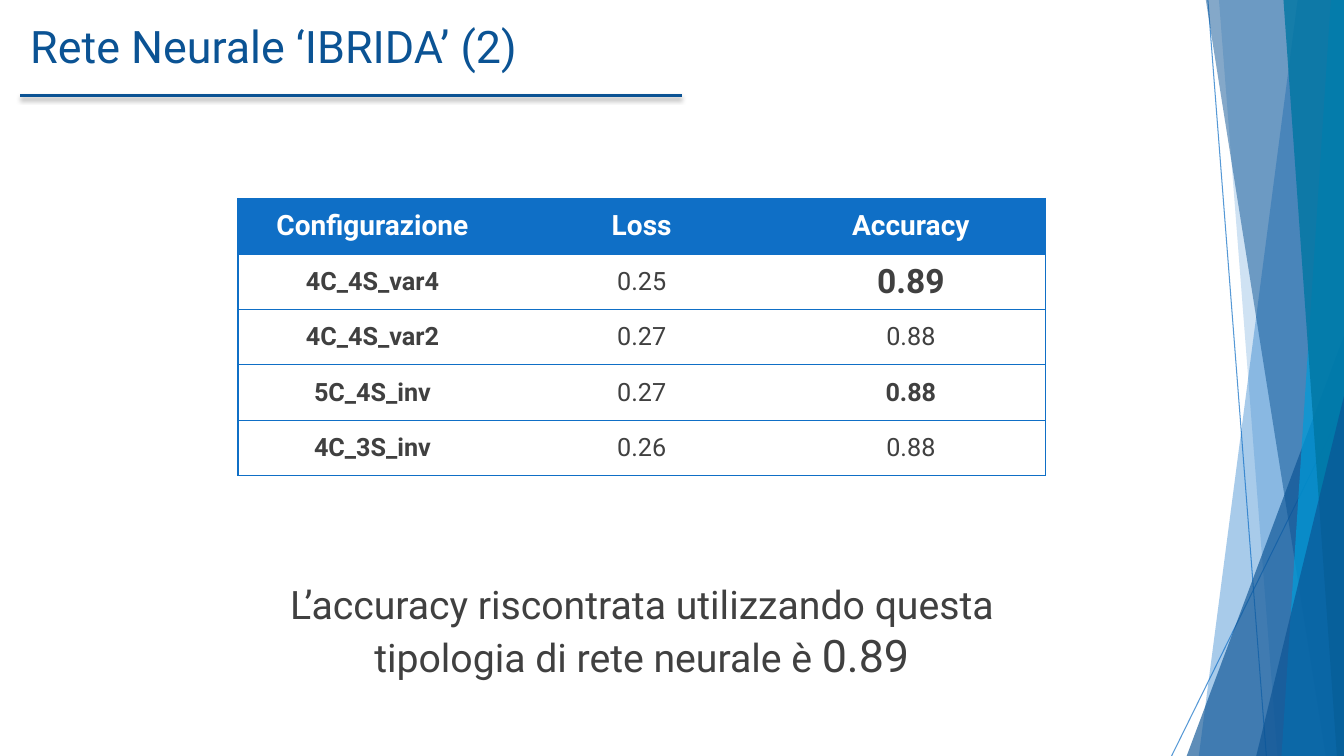
from lxml.etree import SubElement as Sub
from pptx import Presentation
from pptx.dml.color import RGBColor
from pptx.enum.shapes import MSO_CONNECTOR as Link, MSO_SHAPE as Shape
from pptx.enum.text import MSO_ANCHOR as Anchor, MSO_AUTO_SIZE as Auto, PP_ALIGN as Align
from pptx.oxml.ns import qn
from pptx.util import Inches, Pt

W, H = Inches(13.33), Inches(7.5)
BLUE, NAVY, GREY, WHITE = "0F6FC6", "0B5394", "404040", "FFFFFF"


def paint(fill, color, alpha=100):
    fill.solid()
    fill.fore_color.rgb = RGBColor.from_string(color)
    if alpha < 100:
        tone = fill._xPr.find(".//" + qn("a:srgbClr"))
        Sub(tone, qn("a:alpha"), val=str(alpha * 1000))


def style(run, size, color, bold=False):
    run.font.name, run.font.size, run.font.bold = "Roboto", Pt(size), bold
    paint(run.font.fill, color)


deck = Presentation()
deck.slide_width, deck.slide_height = W, H
slide = deck.slides.add_slide(deck.slide_layouts[5])
shapes = slide.shapes

# Lines: ends, colour, opacity, width
for ends, color, alpha, width in [
    ((11.98, 0, 12.56, 7.5), BLUE, 70, 0.75),
    ((13.33, 4.03, 11.62, 7.5), BLUE, 70, 0.75),
    ((0.2, 0.95, 6.76, 0.95), NAVY, 100, 2),
]:
    line = shapes.add_connector(Link.STRAIGHT, *map(Inches, ends))
    line.line.width = Pt(width)
    paint(line.line.fill, color, alpha)
    glow = Sub(line._element.spPr, qn("a:effectLst"))

# Soft shadow under the title rule, the last line drawn
shade = Sub(glow, qn("a:outerShdw"), blurRad=str(Pt(3)), dist=str(Pt(2)),
            dir="5400000", rotWithShape="0")
tone = Sub(shade, qn("a:srgbClr"), val="000000")
Sub(tone, qn("a:alpha"), val="35000")

# Bands against the right edge: top x, foot x, top y, colour, opacity
for top, foot, start, color, alpha in [
    (12.87, 11.89, 0, BLUE, 36),
    (12.09, 12.67, 0, BLUE, 20),
    (13.33, 11.77, 3.33, NAVY, 66),
    (11.96, 13.15, 0, NAVY, 50),
    (13.2, 12.71, 0, "009DD9", 70),
    (12.73, 13.26, 0, "0076A3", 80),
    (13.33, 12.46, 3.93, NAVY, 66),
]:
    x, y = Inches(foot), Inches(start)
    if start:
        band = shapes.add_shape(Shape.ISOSCELES_TRIANGLE, x, y, W - x, H - y)
        band.adjustments[0] = 1
    else:
        pen = shapes.build_freeform(Inches(top), 0)
        pen.add_line_segments([(W, 0), (W, H), (x, H)])
        band = pen.convert_to_shape()
    band.shadow.inherit = False
    band.line.fill.background()
    paint(band.fill, color, alpha)

# Title
title = shapes.title
title.left, title.top, title.width, title.height = map(Inches, (0.2, 0.14, 7.55, 0.84))
frame = title.text_frame
frame.text = "Rete Neurale ‘IBRIDA’ (2)"
frame.vertical_anchor, frame.auto_size = Anchor.TOP, Auto.NONE
frame.paragraphs[0].alignment = Align.LEFT
style(frame.paragraphs[0].runs[0], 32, NAVY)

# Results table
data = [
    ("Configurazione", "Loss", "Accuracy"),
    ("4C_4S_var4", "0.25", "0.89"),
    ("4C_4S_var2", "0.27", "0.88"),
    ("5C_4S_inv", "0.27", "0.88"),
    ("4C_3S_inv", "0.26", "0.88"),
]
rows, cols = len(data), len(data[0])
grid = shapes.add_table(rows, cols, Inches(2.36), Inches(1.97),
                        Inches(2.67 * cols), Inches(0.55 * rows)).table
strong = {(1, 2): 24, (3, 2): 18}
for r, row in enumerate(data):
    for c, text in enumerate(row):
        cell = grid.cell(r, c)
        cell.text = text
        cell.vertical_anchor = Anchor.MIDDLE
        cell.margin_left = cell.margin_right = Inches(0.07)
        cell.margin_top = cell.margin_bottom = 0
        para = cell.text_frame.paragraphs[0]
        para.alignment = Align.CENTER
        size = 20 if r == 0 else strong.get((r, c), 18)
        bold = r == 0 or c == 0 or (r, c) in strong
        style(para.runs[0], size, GREY if r else WHITE, bold)
        # Rules between rows and around the table, none between columns
        props = cell._tc.get_or_add_tcPr()
        for side, shown in zip("LRTB", (c == 0, c == cols - 1, True, True)):
            edge = Sub(props, qn("a:ln" + side), w=str(Pt(1)))
            if shown:
                ink = Sub(edge, qn("a:solidFill"))
                Sub(ink, qn("a:srgbClr"), val=BLUE)
            else:
                Sub(edge, qn("a:noFill"))
        paint(cell.fill, WHITE if r else BLUE)

# Closing remark
note = shapes.add_textbox(*map(Inches, (2.12, 5.71, 8.49, 1.11))).text_frame
note.word_wrap, note.auto_size = True, Auto.SHAPE_TO_FIT_TEXT
para = note.paragraphs[0]
para.alignment = Align.CENTER
for text, size in [
    ("L’accuracy riscontrata utilizzando questa tipologia di rete neurale è ", 28),
    ("0.89", 32),
]:
    run = para.add_run()
    run.text = text
    style(run, size, GREY)

deck.save("out.pptx")
